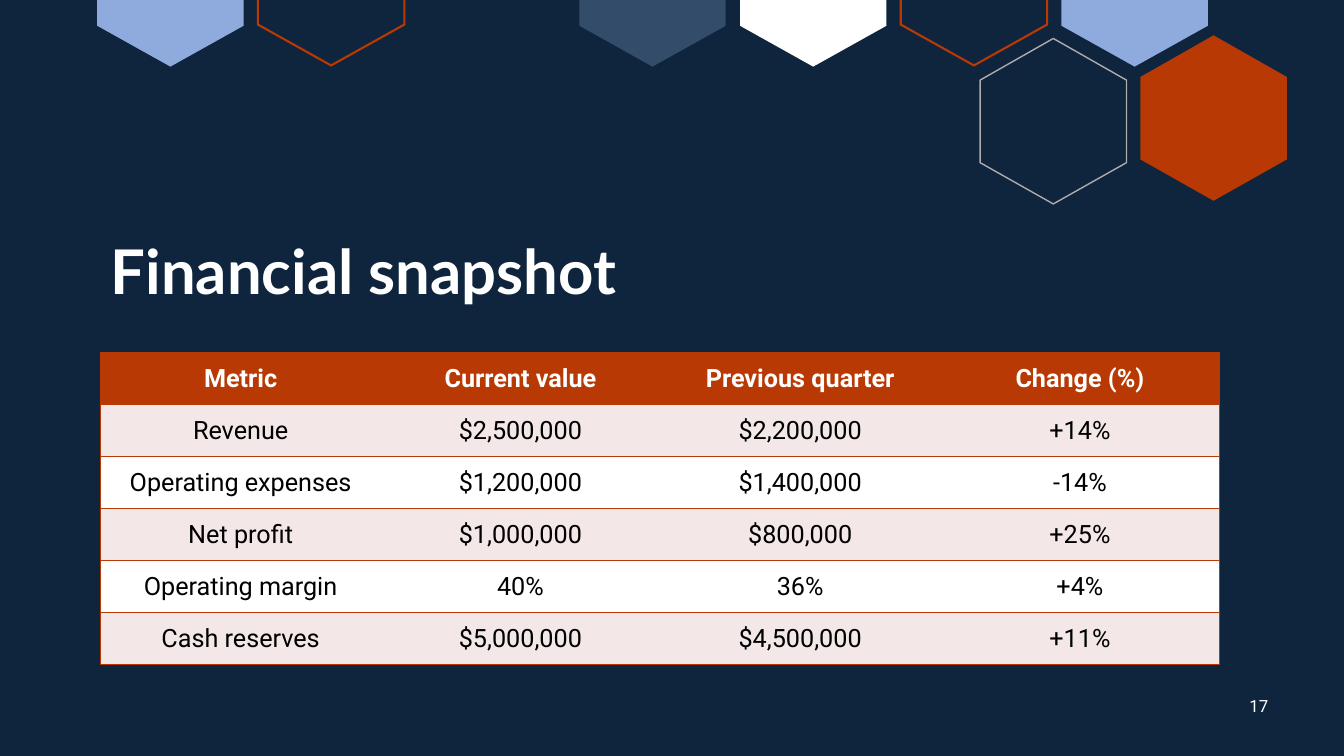
import dataclasses
from typing import Optional

import pptx
import pptx.dml.color
import pptx.enum.text
import pptx.oxml
import pptx.oxml.ns
import pptx.util

Cm = pptx.util.Cm
Pt = pptx.util.Pt
RGB = pptx.dml.color.RGBColor
PP_ALIGN = pptx.enum.text.PP_ALIGN
ANCHOR = pptx.enum.text.MSO_ANCHOR

NAVY = RGB(0x0F, 0x25, 0x3E)
SLATE = RGB(0x33, 0x4C, 0x6A)
BLUE = RGB(0x8F, 0xAA, 0xDC)
ORANGE = RGB(0xB8, 0x39, 0x03)
GREY = RGB(0xAF, 0xAB, 0xAB)
BLUSH = RGB(0xF3, 0xE8, 0xE7)
WHITE = RGB(0xFF, 0xFF, 0xFF)
BLACK = RGB(0x00, 0x00, 0x00)

HEX_W = 3.69
HEX_LEFT, HEX_STEP = 2.45, 4.05
# Outlines as (x, y) in cm from the top left of each hexagon
FULL_HEX = [(HEX_W / 2, 0), (HEX_W, 1.05), (HEX_W, 3.13),
            (HEX_W / 2, 4.17), (0, 3.13), (0, 1.05)]
CUT_HEX = [(0, 0), (HEX_W, 0), (HEX_W, 0.65), (HEX_W / 2, 1.68), (0, 0.65)]

NO_STYLE = "{2D5ABB26-0587-4C30-8999-92F81FD0307C}"
COL_W, ROW_H = 7.05, 1.31
ROWS = [
    ("Metric", "Current value", "Previous quarter", "Change (%)"),
    ("Revenue", "$2,500,000", "$2,200,000", "+14%"),
    ("Operating expenses", "$1,200,000", "$1,400,000", "-14%"),
    ("Net profit", "$1,000,000", "$800,000", "+25%"),
    ("Operating margin", "40%", "36%", "+4%"),
    ("Cash reserves", "$5,000,000", "$4,500,000", "+11%"),
]


@dataclasses.dataclass
class Hexagon:
    left: float
    top: float
    points: list
    fill: Optional[RGB] = None
    line: Optional[RGB] = None
    weight: float = 1.5


@dataclasses.dataclass
class Label:
    text: str
    left: float
    top: float
    width: float
    height: float
    font: str
    size: int
    bold: bool
    align: PP_ALIGN
    anchor: ANCHOR
    spacing: float = 1.0


def cut_hexagon(col: int, fill: Optional[RGB] = None,
                line: Optional[RGB] = None) -> Hexagon:
    top = -0.03 if line else 0
    return Hexagon(HEX_LEFT + col * HEX_STEP, top, CUT_HEX, fill, line)


HEXAGONS = [
    Hexagon(24.7, 0.97, FULL_HEX, line=GREY, weight=1),
    cut_hexagon(3, fill=SLATE),
    cut_hexagon(4, fill=WHITE),
    cut_hexagon(0, fill=BLUE),
    cut_hexagon(1, line=ORANGE),
    cut_hexagon(5, line=ORANGE),
    cut_hexagon(6, fill=BLUE),
    Hexagon(28.74, 0.89, FULL_HEX, fill=ORANGE),
]
LABELS = [
    Label("Financial snapshot", 2.54, 2.03, 21.31, 5.84, "Lato", 44, True,
          PP_ALIGN.LEFT, ANCHOR.BOTTOM, 0.9),
    Label("17", 31.09, 17.27, 1.27, 1.02, "Roboto", 12, False,
          PP_ALIGN.CENTER, ANCHOR.MIDDLE),
]


def format_run(r, font: str, size: int, bold: bool, color: RGB) -> None:
    r.font.name = font
    r.font.size = Pt(size)
    r.font.bold = bold
    r.font.color.rgb = color


def draw_hexagon(slide, h: Hexagon) -> None:
    pts = [(Cm(h.left + x), Cm(h.top + y)) for x, y in h.points]
    builder = slide.shapes.build_freeform(*pts[0])
    builder.add_line_segments(pts[1:], close=True)
    sp = builder.convert_to_shape()
    sp.shadow.inherit = False
    if h.fill:
        sp.fill.solid()
        sp.fill.fore_color.rgb = h.fill
    else:
        sp.fill.background()
    if h.line:
        sp.line.color.rgb = h.line
        sp.line.width = Pt(h.weight)
    else:
        sp.line.fill.background()


def draw_label(slide, d: Label) -> None:
    sp = slide.shapes.add_textbox(Cm(d.left), Cm(d.top), Cm(d.width), Cm(d.height))
    tf = sp.text_frame
    tf.word_wrap = True
    tf.vertical_anchor = d.anchor
    tf.text = d.text
    p = tf.paragraphs[0]
    p.alignment = d.align
    p.line_spacing = d.spacing
    format_run(p.runs[0], d.font, d.size, d.bold, WHITE)


def add_borders(cell, sides: str) -> None:
    """Add 1 pt borders; sides is a subset of LRTB in that order."""
    tc_pr = cell._tc.get_or_add_tcPr()
    for i, side in enumerate(sides):
        tc_pr.insert(i, pptx.oxml.parse_xml(
            f'<a:ln{side} {pptx.oxml.ns.nsdecls("a")} w="{Pt(1)}">'
            f'<a:solidFill><a:srgbClr val="{ORANGE}"/></a:solidFill></a:ln{side}>'))


def draw_table(slide) -> None:
    n_cols = len(ROWS[0])
    frame = slide.shapes.add_table(len(ROWS), n_cols, Cm(2.54), Cm(8.89),
                                   Cm(COL_W * n_cols), Cm(ROW_H * len(ROWS)))
    table = frame.table
    table._tbl.tblPr.find(pptx.oxml.ns.qn("a:tableStyleId")).text = NO_STYLE
    for col in table.columns:
        col.width = Cm(COL_W)
    for i, values in enumerate(ROWS):
        table.rows[i].height = Cm(ROW_H)
        header = i == 0
        fill = ORANGE if header else (BLUSH if i % 2 else WHITE)
        for j, value in enumerate(values):
            cell = table.cell(i, j)
            cell.vertical_anchor = ANCHOR.MIDDLE
            cell.fill.solid()
            cell.fill.fore_color.rgb = fill
            cell.text_frame.text = value
            p = cell.text_frame.paragraphs[0]
            p.alignment = PP_ALIGN.CENTER
            format_run(p.runs[0], "Roboto", 18, header, WHITE if header else BLACK)
            edge = {0: "L", n_cols - 1: "R"}.get(j, "")
            add_borders(cell, edge + "TB")


def main() -> None:
    prs = pptx.Presentation()
    prs.slide_width, prs.slide_height = Cm(33.87), Cm(19.05)
    slide = prs.slides.add_slide(prs.slide_layouts[6])
    slide.background.fill.solid()
    slide.background.fill.fore_color.rgb = NAVY

    # Hexagon decoration along the top
    for h in HEXAGONS:
        draw_hexagon(slide, h)

    # Title and page number
    for d in LABELS:
        draw_label(slide, d)

    # Financial figures
    draw_table(slide)
    prs.save("out.pptx")


if __name__ == "__main__":
    main()
